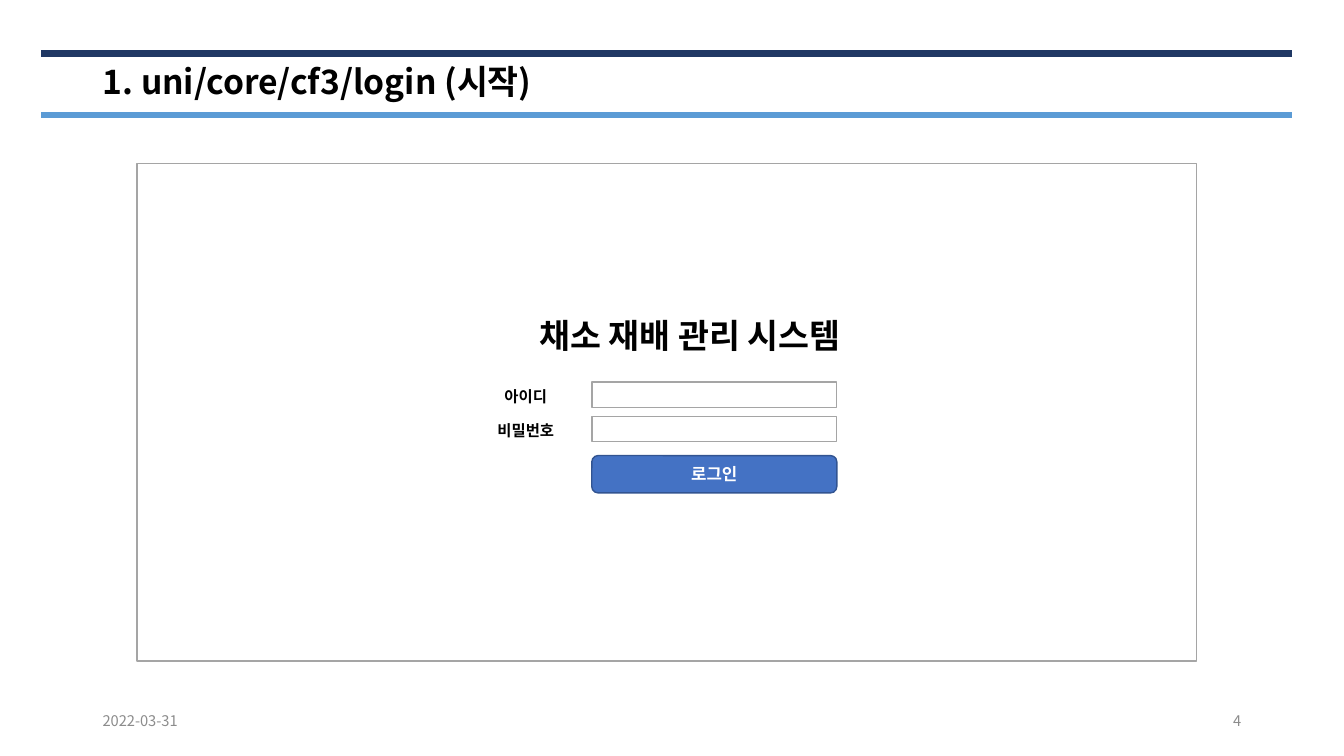
from lxml import etree
from pptx import Presentation
from pptx.dml.color import RGBColor
from pptx.enum.shapes import MSO_CONNECTOR, MSO_SHAPE
from pptx.enum.text import MSO_ANCHOR, PP_ALIGN
from pptx.oxml.ns import qn
from pptx.util import Inches, Pt

STRAIGHT = MSO_CONNECTOR.STRAIGHT
RECT, ROUNDED = MSO_SHAPE.RECTANGLE, MSO_SHAPE.ROUNDED_RECTANGLE
TOP, MIDDLE = MSO_ANCHOR.TOP, MSO_ANCHOR.MIDDLE
LEFT, CENTER, RIGHT = PP_ALIGN.LEFT, PP_ALIGN.CENTER, PP_ALIGN.RIGHT

NAVY = RGBColor(0x20, 0x38, 0x64)
SKY = RGBColor(0x5B, 0x9B, 0xD5)
BLUE = RGBColor(0x44, 0x72, 0xC4)
BLUE_EDGE = RGBColor(0x32, 0x54, 0x91)
GRAY = RGBColor(0xA5, 0xA5, 0xA5)
FOOTER_GRAY = RGBColor(0x8C, 0x8C, 0x8C)
BLACK = RGBColor(0, 0, 0)
WHITE = RGBColor(0xFF, 0xFF, 0xFF)

FONT = "Noto Sans CJK KR"
SLIDE_W, SLIDE_H = 13.33, 7.5
MARGIN = 0.92
RULE_INSET = 0.41
FOOTER_Y, FOOTER_W, FOOTER_H = 6.95, 3, 0.4

# Login form grid: a label column and a field column, rows at an equal pitch
LABEL_X, LABEL_W, LABEL_H = 4.72, 0.99, 0.29
FIELD_X, FIELD_W, FIELD_H = 5.87, 2.43, 0.25
FORM_Y, ROW_PITCH = 3.79, 0.34
LABELS = ("아이디", "비밀번호")


def write(shape, text, size, color, bold=False, align=LEFT, anchor=TOP):
    tf = shape.text_frame
    tf.word_wrap = True
    tf.vertical_anchor = anchor
    tf.text = text
    p = tf.paragraphs[0]
    p.alignment = align
    r = p.runs[0]
    r.font.name, r.font.size, r.font.bold = FONT, Pt(size), bold
    r.font.color.rgb = color
    east_asian = etree.SubElement(r.font._element, qn("a:ea"))
    east_asian.set("typeface", FONT)
    return p


def add_text(s, x, y, w, h, text, size, color, **style):
    box = s.shapes.add_textbox(Inches(x), Inches(y), Inches(w), Inches(h))
    return write(box, text, size, color, **style)


def add_box(s, kind, x, y, w, h, edge, fill=None):
    sp = s.shapes.add_shape(kind, Inches(x), Inches(y), Inches(w), Inches(h))
    sp.shadow.inherit = False
    if fill is None:
        sp.fill.background()
    else:
        sp.fill.solid()
        sp.fill.fore_color.rgb = fill
    sp.line.color.rgb = edge
    sp.line.width = Pt(1)
    return sp


def add_rule(s, y, color):
    """Draw a thick horizontal line across the header."""
    rule = s.shapes.add_connector(STRAIGHT, Inches(RULE_INSET), Inches(y),
                                  Inches(SLIDE_W - RULE_INSET - 0.11), Inches(y))
    rule.line.color.rgb = color
    rule.line.width = Pt(4.5)
    etree.SubElement(rule._element.spPr, qn("a:effectLst"))


def add_header(s):
    add_rule(s, 0.53, NAVY)
    add_rule(s, 1.14, SKY)
    p = add_text(s, MARGIN, 0.54, 11.5, 0.58, "1. uni/core/cf3/login (시작)",
                 24, BLACK, bold=True, anchor=MIDDLE)
    p.line_spacing = 0.9


def add_footer(s):
    number_x = SLIDE_W - MARGIN - FOOTER_W
    for x, text, align in ((MARGIN, "2022-03-31", LEFT), (number_x, "4", RIGHT)):
        add_text(s, x, FOOTER_Y, FOOTER_W, FOOTER_H, text, 10.5, FOOTER_GRAY,
                 align=align, anchor=MIDDLE)


def add_login_form(s):
    add_box(s, RECT, 1.36, 1.62, 10.51, 4.94, GRAY)
    add_text(s, 5.25, 3.08, 3.36, 0.5, "채소 재배 관리 시스템", 24, BLACK, bold=True)
    for row, label in enumerate(LABELS):
        y = FORM_Y + row * ROW_PITCH
        add_box(s, RECT, FIELD_X, y, FIELD_W, FIELD_H, GRAY)
        add_text(s, LABEL_X, y, LABEL_W, LABEL_H, label, 11, BLACK,
                 bold=True, align=CENTER)
    button = add_box(s, ROUNDED, FIELD_X, 4.52, FIELD_W, 0.37, BLUE_EDGE, BLUE)
    write(button, "로그인", 12, WHITE, bold=True, align=CENTER, anchor=MIDDLE)


def main():
    prs = Presentation()
    prs.slide_width, prs.slide_height = Inches(SLIDE_W), Inches(SLIDE_H)
    s = prs.slides.add_slide(prs.slide_layouts[6])
    add_header(s)
    add_footer(s)
    add_login_form(s)
    prs.save("out.pptx")


if __name__ == "__main__":
    main()
